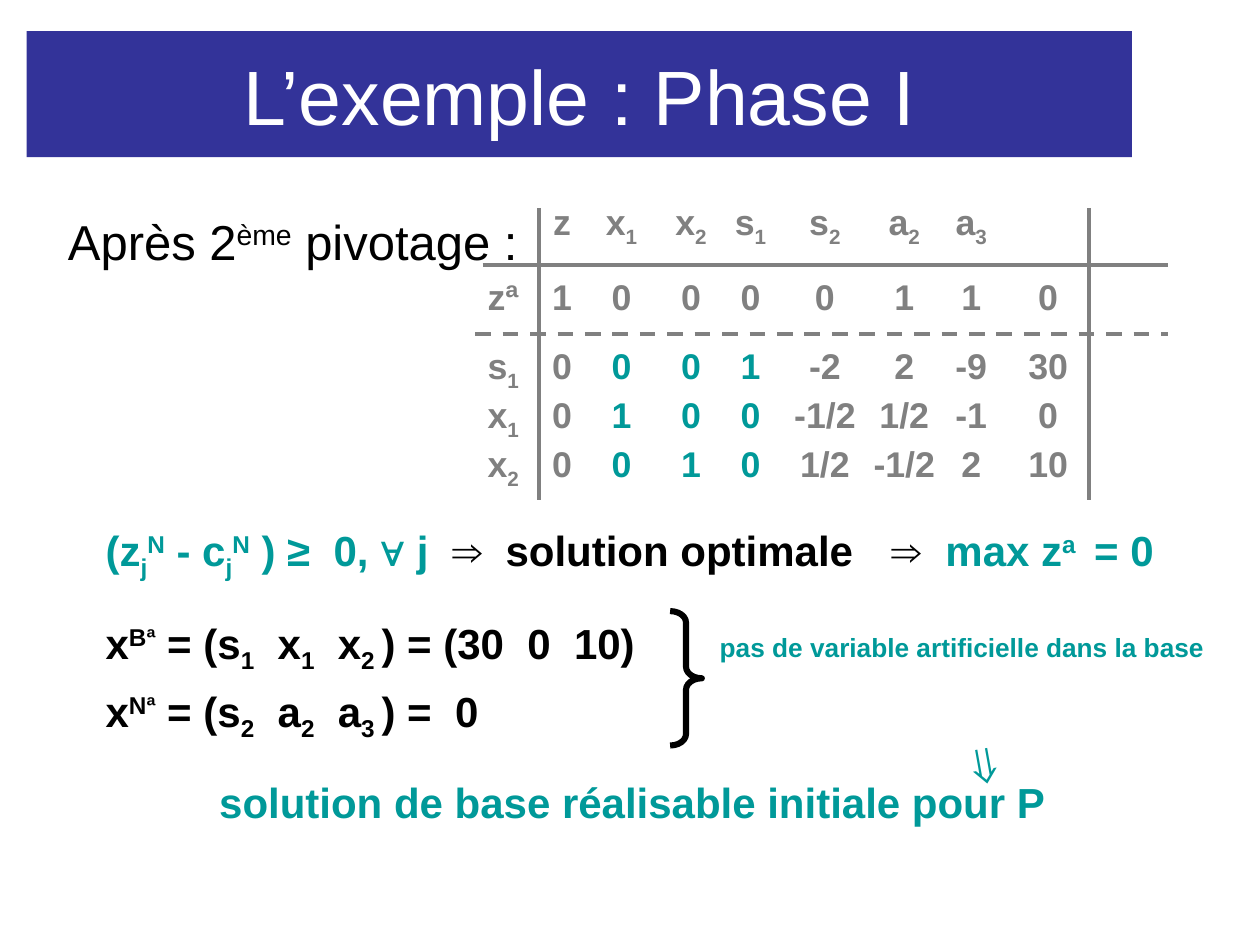
from lxml import etree
from pptx import Presentation
from pptx.dml.color import RGBColor
from pptx.enum.dml import MSO_LINE
from pptx.enum.shapes import MSO_CONNECTOR, MSO_SHAPE
from pptx.enum.text import MSO_ANCHOR, PP_ALIGN
from pptx.oxml.ns import qn
from pptx.util import Cm, Pt

NAVY = RGBColor(0x33, 0x33, 0x99)
TEAL = RGBColor(0x00, 0x99, 0x99)
GREY = RGBColor(0x80, 0x80, 0x80)
BLACK = RGBColor(0, 0, 0)
WHITE = RGBColor(0xFF, 0xFF, 0xFF)
BASELINES = {"_": "-25000", "^": "30000"}

prs = Presentation()
prs.slide_width, prs.slide_height = Cm(25.4), Cm(19.05)
slide = prs.slides.add_slide(prs.slide_layouts[6])
shapes = slide.shapes


def write(paragraph, parts, size, bold=True, italic=None):
    """Add (text, colour) parts; "|" splits runs, a leading _ or ^ lowers or raises one."""
    for text, colour in parts:
        for piece in text.split("|"):
            run = paragraph.add_run()
            run.text = piece[1:] if piece[0] in BASELINES else piece
            run.font.name, run.font.size = "Arial", Pt(size)
            run.font.bold, run.font.italic = bold, italic
            run.font.color.rgb = colour
            if piece[0] in BASELINES:
                run._r.get_or_add_rPr().set("baseline", BASELINES[piece[0]])


def add_text(left, top, width, height, indent, lines, size, space=6, **style):
    box = shapes.add_textbox(Cm(left), Cm(top), Cm(width), Cm(height))
    frame = box.text_frame
    frame.word_wrap = True
    frame.margin_left = Cm(indent)
    for number, parts in enumerate(lines):
        paragraph = frame.add_paragraph() if number else frame.paragraphs[0]
        paragraph.space_before = Pt(space)
        write(paragraph, parts, size, **style)
    return box


title = shapes.add_shape(MSO_SHAPE.RECTANGLE, Cm(0.54), Cm(0.63), Cm(22.28), Cm(2.54))
title.shadow.inherit = False
title.fill.solid()
title.fill.fore_color.rgb = NAVY
title.line.fill.background()
title.text_frame.vertical_anchor = MSO_ANCHOR.MIDDLE
heading = title.text_frame.paragraphs[0]
heading.alignment = PP_ALIGN.CENTER
write(heading, [("L’exemple : Phase I", WHITE)], 44, bold=False)

add_text(-0.15, 4.14, 22.9, 5.9, 1.52,
         [[("Après 2|^ème| pivotage :", BLACK)]], 28, space=7, bold=False)

# Simplex tableau: one centred tab stop per column
column_centres = [1.5, 2.7, 4.1, 5.3, 6.8, 8.4, 9.75, 11.3]
tableau_rows = [
    [("\tz\tx|_1|\tx|_2|\ts|_1|\ts|_2|\ta|_2|\ta|_3", GREY)],
    [("zª\t1\t0\t0\t0\t0\t1\t1\t0", GREY)],
    [("s|_1|\t0", GREY), ("\t0\t0\t1", TEAL), ("\t-2\t2\t-9\t30", GREY)],
    [("x|_1|\t0", GREY), ("\t1\t0\t0", TEAL), ("\t-1/2\t1/2\t-1\t0", GREY)],
    [("x|_2|\t0", GREY), ("\t0\t1\t0", TEAL), ("\t1/2\t-1/2\t2\t10", GREY)],
]
tableau = add_text(9.58, 3.91, 14.76, 6.1, 0.25, tableau_rows, 20.4, space=0)
for number, row in enumerate(tableau.text_frame.paragraphs):
    row.space_before = Pt(15 if number in (1, 2) else 0)
    tab_list = etree.SubElement(row._p.get_or_add_pPr(), qn("a:tabLst"))
    for centre in column_centres:
        etree.SubElement(tab_list, qn("a:tab"), pos=str(Cm(centre)), algn="ctr")

rules = [
    (9.73, 5.35, 23.55, 5.35, None),
    (21.95, 4.19, 21.95, 10.08, None),
    (9.58, 6.73, 23.55, 6.73, MSO_LINE.DASH),
    (10.87, 4.19, 10.87, 10.08, None),
]
for x1, y1, x2, y2, dash in rules:
    rule = shapes.add_connector(MSO_CONNECTOR.STRAIGHT, Cm(x1), Cm(y1), Cm(x2), Cm(y2))
    rule.line.color.rgb = GREY
    rule.line.width = Pt(2.25)
    if dash:
        rule.line.dash_style = dash
    etree.SubElement(rule._element.spPr, qn("a:effectLst"))

# Optimality test and resulting basis
add_text(0.38, 10.44, 17.6, 1.83, 1.75,
         [[("(z|_j|^N| - c|_j|^N| ) ≥  0, ∀ j  ", TEAL),
           ("⇒  solution optimale", BLACK)]], 24)
add_text(16.46, 10.44, 7.62, 1.83, 1.52,
         [[("⇒  ", BLACK), ("max z|^a | = 0", TEAL)]], 24)
add_text(0.38, 12.32, 14.86, 3.38, 1.75,
         [[("x|^Bª| = (s|_1|  x|_1|  x|_2 |) = (30  0  10)", BLACK)],
          [("x|^Nª| = (s|_2|  a|_2|  a|_3 |) =  0", BLACK)]], 24)
add_text(12.55, 12.6, 12.4, 2.16, 1.96,
         [[("pas de variable artificielle dans la base", TEAL)]], 15)

brace = shapes.add_shape(MSO_SHAPE.RIGHT_BRACE, Cm(13.51), Cm(12.32), Cm(0.64), Cm(2.71))
brace.shadow.inherit = False
brace.adjustments[0] = 0.36
brace.fill.background()
brace.line.color.rgb = BLACK
brace.line.width = Pt(3.5)

implication = add_text(17.91, 14.58, 4.06, 1.52, 1.52, [[("⇓", TEAL)]], 31,
                       space=7.7, italic=True)
implication.rotation = -10.1
add_text(2.9, 15.52, 21.64, 1.52, 1.52,
         [[("solution de base réalisable initiale pour P", TEAL)]], 24)

prs.save("out.pptx")
